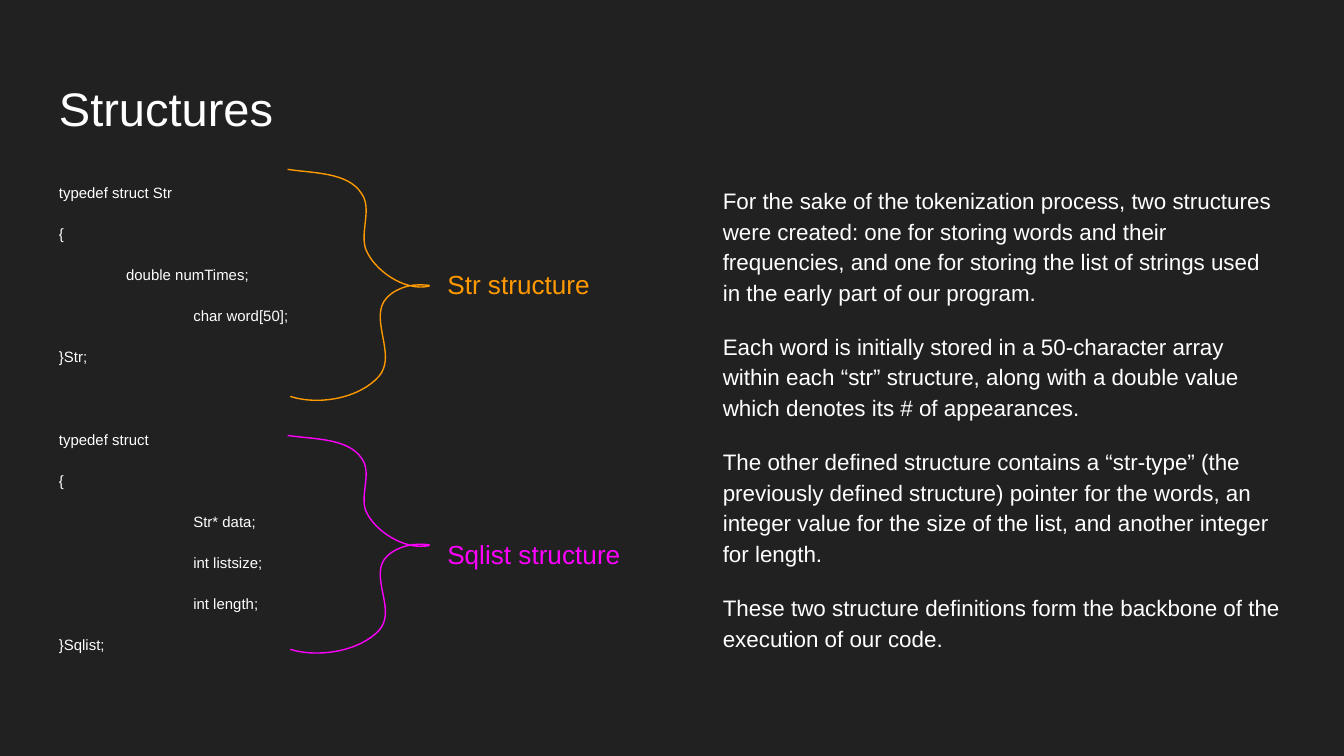
import pptx
import pptx.util
import pptx.dml.color
import pptx.enum.text
import pptx.oxml.ns

PX = 9144  # EMU per px, 100 px to the inch
WHITE, ORANGE, MAGENTA = "FFFFFF", "FF9900", "FF00FF"
TOP = pptx.enum.text.MSO_ANCHOR.TOP
MIDDLE = pptx.enum.text.MSO_ANCHOR.MIDDLE
qn = pptx.oxml.ns.qn


def px(n):
    return pptx.util.Emu(round(n * PX))


def color(value):
    return pptx.dml.color.RGBColor.from_string(value)


class Deck:
    font = "Arial"
    inset = 10

    def __init__(self, width):
        self.prs = pptx.Presentation()
        self.prs.slide_width = px(width)
        self.prs.slide_height = px(width * 9 / 16)

    def add_slide(self, background):
        self.s = self.prs.slides.add_slide(self.prs.slide_layouts[6])
        fill = self.s.background.fill
        fill.solid()
        fill.fore_color.rgb = color(background)

    def text(self, box, paragraphs, size, ink=WHITE, spacing=1.0, anchor=TOP):
        """Each paragraph is (text, left indent in px, space before in pt)."""
        tf = self.s.shapes.add_textbox(*map(px, box)).text_frame
        frame = {"word_wrap": True, "vertical_anchor": anchor}
        for side in ("left", "top", "right", "bottom"):
            frame["margin_" + side] = px(self.inset)
        for name, value in frame.items():
            setattr(tf, name, value)
        for i, (words, indent, before) in enumerate(paragraphs):
            p = tf.paragraphs[0] if i == 0 else tf.add_paragraph()
            p.line_spacing = spacing
            p.space_before = pptx.util.Pt(before)
            if indent:
                p._p.get_or_add_pPr().set("marL", str(px(indent)))
            r = p.add_run()
            r.text = words
            for name, value in {"name": self.font, "size": pptx.util.Pt(size)}.items():
                setattr(r.font, name, value)
            r.font.color.rgb = color(ink)

    def curve(self, left, top, width, height, points, ink):
        """Open Bezier curve: a start, then three points per segment."""
        start, *rest = [(px(left + x), px(top + y)) for x, y in points]
        builder = self.s.shapes.build_freeform(*start, scale=1.0)
        builder.add_line_segments(rest, close=False)
        sp = builder.convert_to_shape()
        # Fold every three line steps into one cubic segment
        outline = next(sp._element.iter(qn("a:path")))
        steps = outline.findall(qn("a:lnTo"))
        for i in range(0, len(steps), 3):
            cubic = outline.makeelement(qn("a:cubicBezTo"), {})
            outline.append(cubic)
            for step in steps[i:i + 3]:
                cubic.append(step[0])
                outline.remove(step)
        # Fit the frame to the curve rather than to its control points
        sp.width, sp.height = px(width), px(height)
        outline.set("w", str(px(width)))
        outline.set("h", str(px(height)))
        sp.shadow.inherit = False
        sp.fill.background()
        sp.line.color.rgb = color(ink)
        sp.line.width = pptx.util.Pt(0.75)


# Text: (line, indent, space before); the second struct stands one line lower
CODE = [
    ("typedef struct Str", 0, 0),
    ("{", 0, 12),
    ("double numTimes;", 50, 12),
    ("char word[50];", 100, 12),
    ("}Str;", 0, 12),
    ("typedef struct", 0, 34),
    ("{", 0, 12),
    ("Str* data;", 100, 12),
    ("int listsize;", 100, 12),
    ("int length;", 100, 12),
    ("}Sqlist;", 0, 12),
]
NOTES = [
    "For the sake of the tokenization process, two structures were created: one for "
    "storing words and their frequencies, and one for storing the list of strings used "
    "in the early part of our program.",
    "Each word is initially stored in a 50-character array within each “str” structure, "
    "along with a double value which denotes its # of appearances.",
    "The other defined structure contains a “str-type” (the previously defined structure) "
    "pointer for the words, an integer value for the size of the list, and another "
    "integer for length.",
    "These two structure definitions form the backbone of the execution of our code.",
]

# Brace outline, drawn 107 wide and 172 high
BRACE_W, BRACE_H = 107, 172
BRACE = [
    (0, 0),
    (19, 3), (45, 2), (55, 18),
    (63, 29), (54, 46), (58, 59),
    (64, 75), (87, 91), (105, 87),
    (108, 86), (100, 86), (97, 86),
    (87, 86), (73, 92), (70, 102),
    (65, 118), (80, 140), (68, 154),
    (54, 170), (24, 176), (2, 169),
]

# Brace top, brace height, label top, label width, label, colour
STRUCTS = [
    (126, 172, 190, 148, "Str structure", ORANGE),
    (324, 162, 391, 157, "Sqlist structure", MAGENTA),
]


def main():
    deck = Deck(1000)
    deck.add_slide("212121")

    # Title and the two columns
    deck.text((34, 49, 932, 63), [("Structures", 0, 0)], 25.2, anchor=MIDDLE)
    deck.text((34, 126, 437, 374), CODE, 8, spacing=1.05)
    notes = [(words, 0, 12 if i else 0) for i, words in enumerate(NOTES)]
    deck.text((528, 126, 437, 374), notes, 12, spacing=1.15)

    # Braces with their labels
    for top, height, label_top, label_width, label, ink in STRUCTS:
        points = [(x, y * height / BRACE_H) for x, y in BRACE]
        deck.curve(214, top, BRACE_W, height, points, ink)
        deck.text((323, label_top, label_width, 44), [(label, 0, 0)], 14, ink)

    deck.prs.save("out.pptx")


if __name__ == "__main__":
    main()
